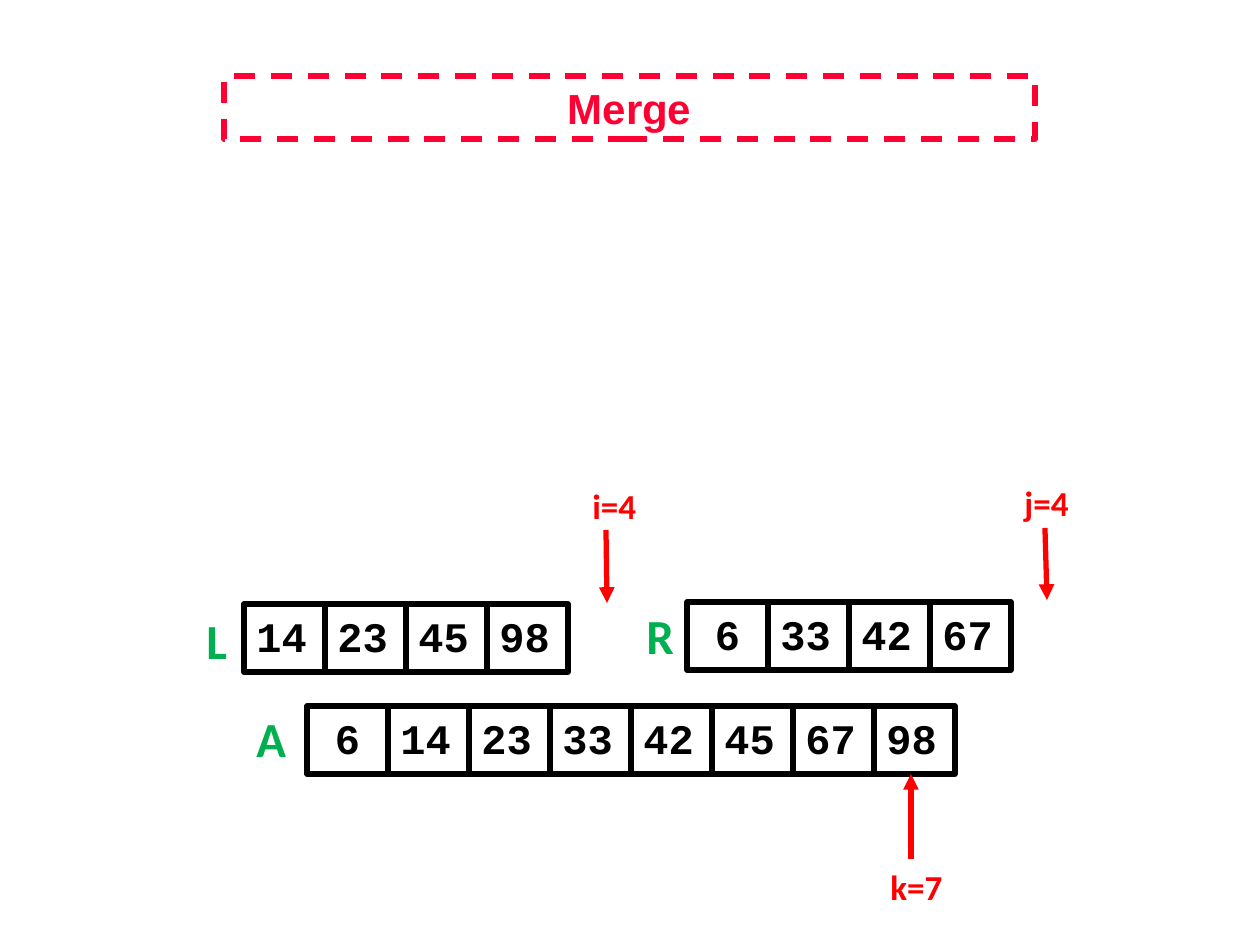
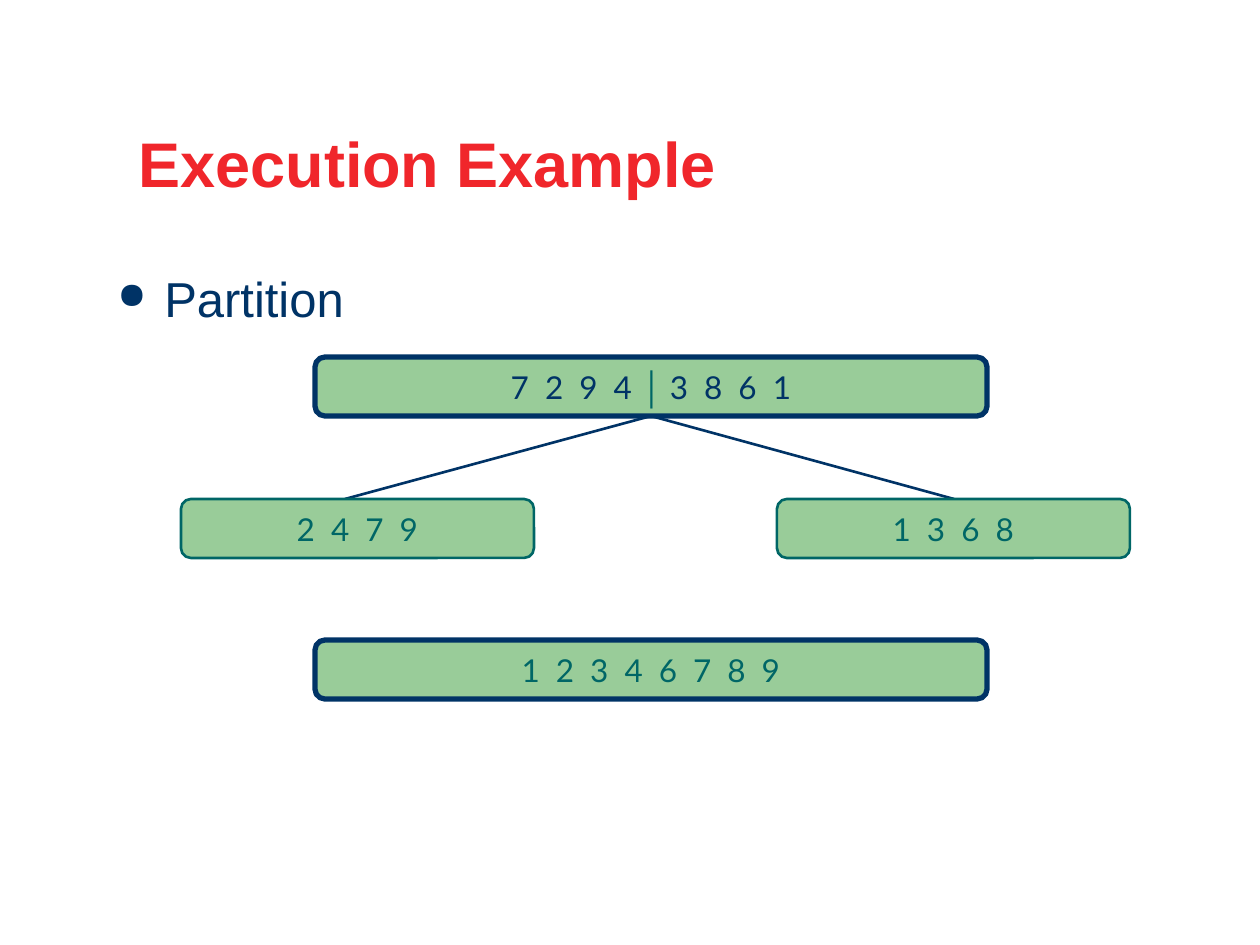
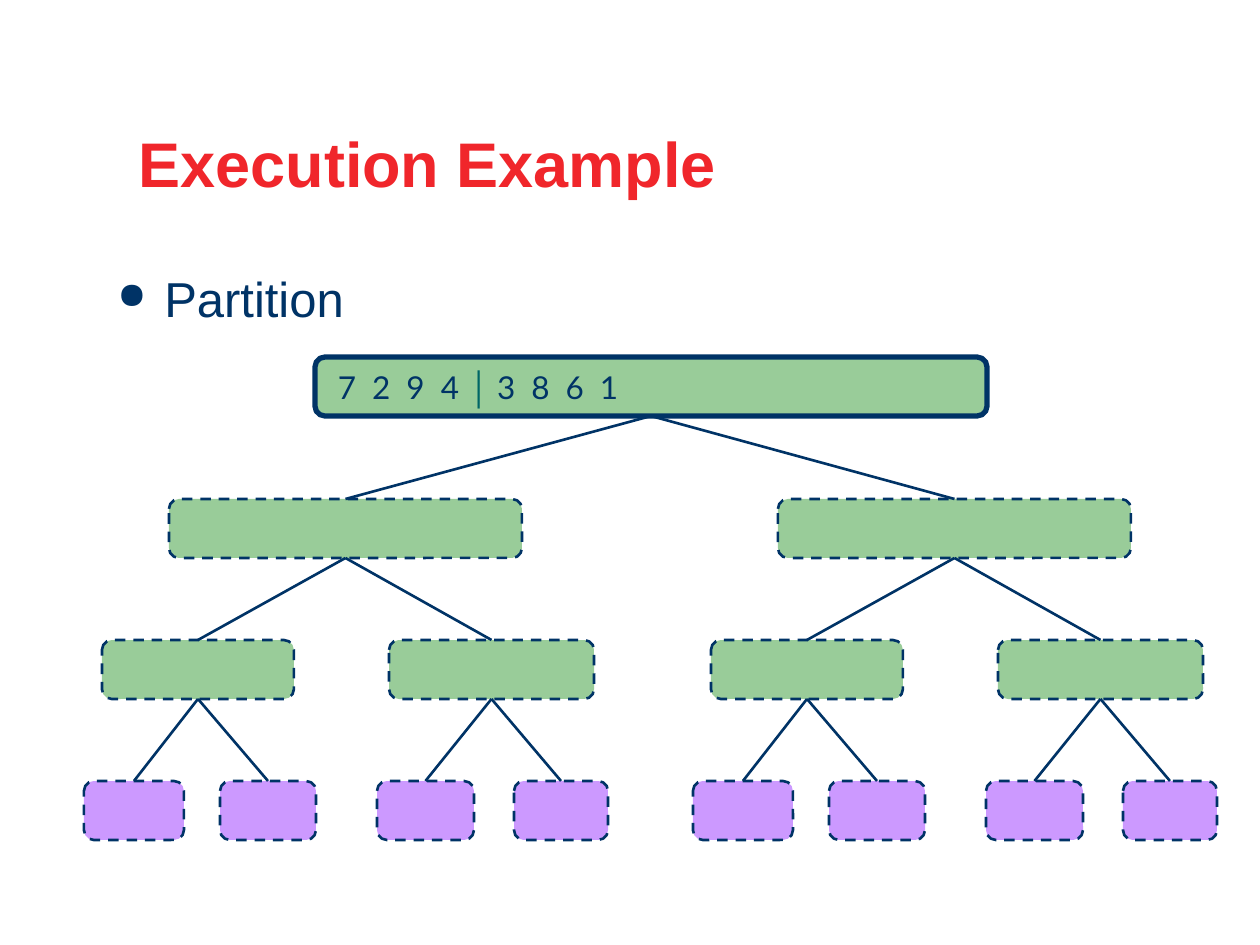
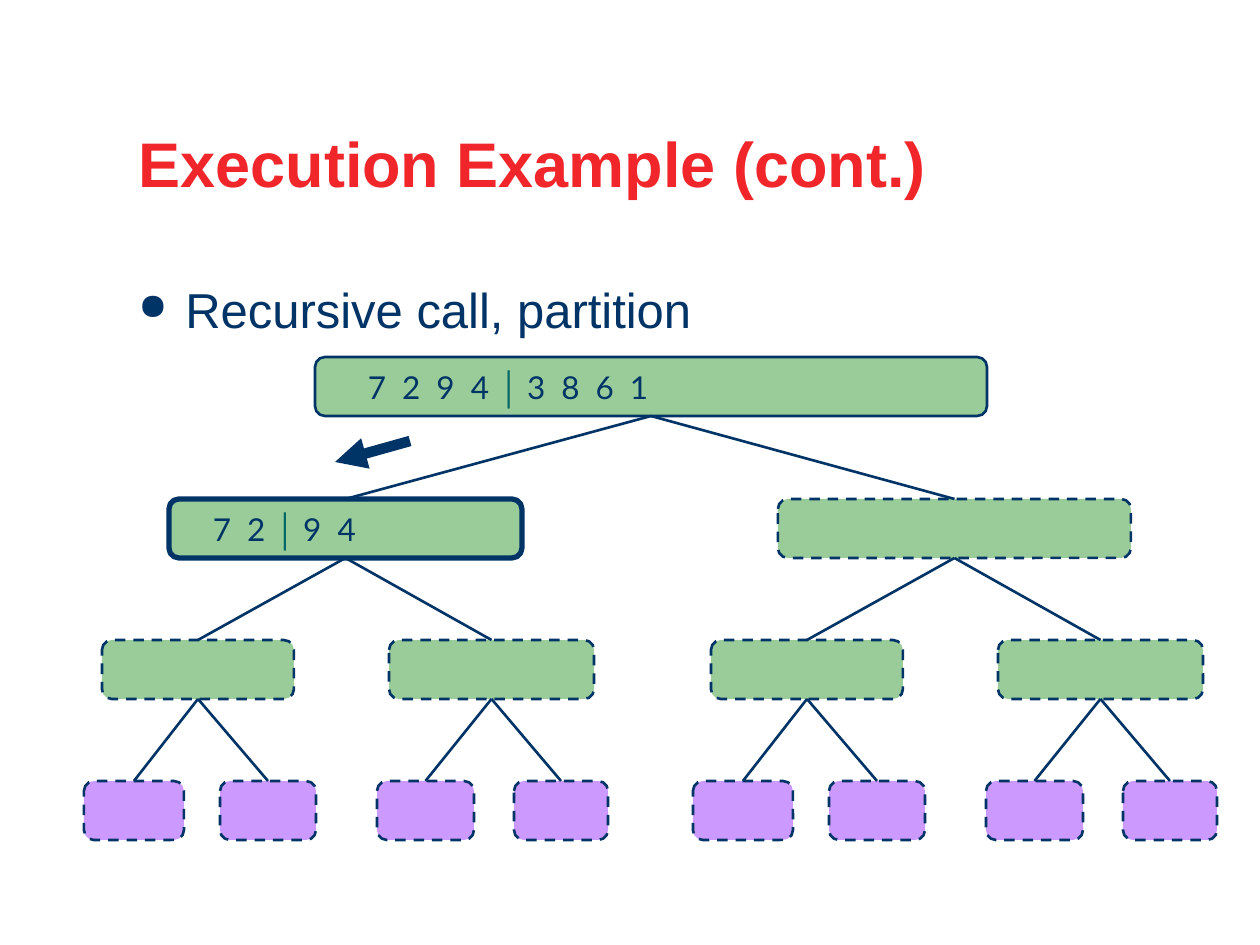
from dataclasses import dataclass

from lxml.etree import SubElement
from pptx import Presentation
from pptx.dml.color import RGBColor as RGB
from pptx.enum.dml import MSO_LINE_DASH_STYLE as Dash
from pptx.enum.shapes import MSO_CONNECTOR as Link, MSO_SHAPE as Shape
from pptx.enum.text import MSO_ANCHOR as Anchor, MSO_AUTO_SIZE as Fit, PP_ALIGN as Align
from pptx.oxml.ns import qn
from pptx.util import Emu, Pt

PX_PER_INCH = 126
SLIDE_SIZE = (1260, 945)
TITLE_ONLY = 5
TOP_SITE, BOTTOM_SITE = 0, 2


@dataclass(frozen=True)
class Theme:
    black: str = "000000"
    merge_red: str = "FF0033"
    pointer_red: str = "FF0000"
    name_green: str = "00B050"
    title_red: str = "F0262B"
    navy: str = "003366"
    teal: str = "006666"
    node_green: str = "99CC99"
    leaf_purple: str = "CC99FF"
    sans: str = "Arial"
    digits: str = "Lato"
    code: str = "Courier New"
    label: str = "Calibri"
    title_size: int = 36
    body_size: int = 28
    name_size: int = 28
    cell_size: int = 24
    pointer_size: int = 20
    node_size: int = 18
    thin: float = 1.5
    thick: float = 3
    call_arrow: float = 6
    digit_gap: float = 2.3
    bar_gap: float = -1


T = Theme()

# Content: the merge step
MERGE_TITLE = ("Merge", (224, 76, 811, 63))
ARRAYS = [  # name, name box, first cell, values
    ("L", (194, 604, 47, 72), (244, 604), [14, 23, 45, 98]),
    ("R", (634, 599, 53, 72), (687, 602), [6, 33, 42, 67]),
    ("A", (244, 702, 55, 72), (307, 706), [6, 14, 23, 33, 42, 45, 67, 98]),
]
CELL_SIZE = (81, 68)
POINTERS = [  # text, text box, arrow start, arrow end
    ("i=4", (580, 478, 69, 55), (606, 530), (607, 603)),
    ("j=4", (1012, 475, 71, 55), (1045, 528), (1047, 600)),
    ("k=7", (878, 859, 78, 55), (911, 859), (911, 774)),
]

# Content: the recursion tree; a bar parts the two halves of a node
WHOLE = ("7 2 9 4", "3 8 6 1")
LEFT_HALF = ("7 2", "9 4")
SORTED_HALVES = ["2 4 7 9", "1 3 6 8"]
SORTED_WHOLE = "1 2 3 4 6 7 8 9"

TITLE_BOX = (126, 126, 1102, 81)
BULLET_SIZE = (1071, 72)
BULLET_INDENT = 47
NODE_HEIGHT = 59
LEVEL_TOPS = [357, 499, 640, 781]
ROOT_SPAN = (315, 672)
SORTED_SPANS = [(181, 353), (777, 353)]
LEFT_SUBTREE = [  # left and width of each node, level by level
    [(169, 353)],
    [(102, 192), (389, 205)],
    [(84, 100), (220, 96), (377, 97), (514, 94)],
]
SUBTREE_SHIFT = 609
CHILD_CENTERS = [345, 954]

TREE_SLIDES = [
    dict(title="Execution Example", bullet="Partition", bullet_at=(105, 262),
         root_inset=20, root_line=T.thick, left_call=False),
    dict(title="Execution Example (cont.)", bullet="Recursive call, partition",
         bullet_at=(126, 273), root_inset=50, root_line=T.thin, left_call=True),
]
LEFT_CALL_INSET = 41
CALL_ARROW = ((410, 441), (335, 462))


# Shared helpers
def px(length):
    return Emu(round(length * 914400 / PX_PER_INCH))


def apply(target, **formats):
    for attribute, value in formats.items():
        setattr(target, attribute, value)


def place(shape, box):
    apply(shape, **dict(zip(("left", "top", "width", "height"), map(px, box))))


def outline(line, color, width, dash=None):
    line.color.rgb = RGB.from_string(color)
    line.width = Pt(width)
    if dash:
        line.dash_style = dash


def write(paragraph, text, font, size, color, bold=False, gap=0):
    run = paragraph.add_run()
    run.text = text
    apply(run.font, name=font, size=Pt(size), bold=bold)
    run.font.color.rgb = RGB.from_string(color)
    if gap:
        run._r.get_or_add_rPr().set("spc", str(round(gap * 100)))


def add_box(slide, kind, box, color, width, fill=None, dash=None):
    shape = slide.shapes.add_shape(kind, *map(px, box))
    shape.shadow.inherit = False
    if fill:
        shape.fill.solid()
        shape.fill.fore_color.rgb = RGB.from_string(fill)
    else:
        shape.fill.background()
    outline(shape.line, color, width, dash)
    shape.text_frame.word_wrap = False
    return shape


def add_line(slide, start, end, color, width, arrow=False):
    line = slide.shapes.add_connector(Link.STRAIGHT, *map(px, (*start, *end)))
    outline(line.line, color, width)
    if arrow:
        SubElement(line.line._get_or_add_ln(), qn("a:tailEnd"), type="triangle")
    SubElement(line._element.spPr, qn("a:effectLst"))
    return line


def add_title(deck, text, box, size, color, **formats):
    slide = deck.slides.add_slide(deck.slide_layouts[TITLE_ONLY])
    title = slide.shapes.title
    place(title, box)
    apply(title.text_frame, word_wrap=True, auto_size=Fit.NONE)
    paragraph = title.text_frame.paragraphs[0]
    apply(paragraph, **formats)
    write(paragraph, text, T.sans, size, color, bold=True)
    return slide


def add_label(slide, text, box, size, color):
    frame = slide.shapes.add_textbox(*map(px, box)).text_frame
    apply(frame, word_wrap=False, auto_size=Fit.SHAPE_TO_FIT_TEXT)
    write(frame.paragraphs[0], text, T.label, size, color, bold=True)


def add_bullet(slide, text, at):
    frame = slide.shapes.add_textbox(*map(px, (*at, *BULLET_SIZE))).text_frame
    frame.word_wrap = True
    paragraph = frame.paragraphs[0]
    paragraph.space_before = Pt(7)
    props = paragraph._p.get_or_add_pPr()
    props.set("marL", str(px(BULLET_INDENT)))
    props.set("indent", str(-px(BULLET_INDENT)))
    SubElement(SubElement(props, qn("a:buClr")), qn("a:srgbClr"), val=T.navy)
    SubElement(props, qn("a:buSzPct"), val="75000")
    SubElement(props, qn("a:buChar"), char="●")
    write(paragraph, text, T.sans, T.body_size, T.navy)


# Tree parts
def add_node(slide, level, span, color=T.navy, width=T.thin, fill=T.node_green, dash=None):
    left, node_width = span
    return add_box(slide, Shape.ROUNDED_RECTANGLE,
                   (left, LEVEL_TOPS[level], node_width, NODE_HEIGHT),
                   color, width, fill, dash)


def write_digits(node, halves, color=T.navy, inset=None):
    frame = node.text_frame
    frame.vertical_anchor = Anchor.MIDDLE
    paragraph = frame.paragraphs[0]
    paragraph.alignment = Align.CENTER
    if inset is not None:
        frame.margin_left = px(inset)
        paragraph.alignment = Align.LEFT
    for index, half in enumerate(halves):
        if index:
            write(paragraph, " │ ", T.sans, T.node_size, T.teal, True, T.bar_gap)
        write(paragraph, half, T.digits, T.node_size, color, gap=T.digit_gap)


def join(slide, parent, child):
    line = add_line(slide, (0, 0), (1, 1), T.navy, T.thin)
    line.begin_connect(parent, BOTTOM_SITE)
    line.end_connect(child, TOP_SITE)


# Slides
def merge_slide(deck):
    text, box = MERGE_TITLE
    slide = add_title(deck, text, box, T.cell_size, T.merge_red, alignment=Align.CENTER)
    slide.shapes.title.text_frame.vertical_anchor = Anchor.TOP
    outline(slide.shapes.title.line, T.merge_red, T.thick, Dash.DASH)

    for name, name_box, (left, top), values in ARRAYS:
        for index, value in enumerate(values):
            cell = add_box(slide, Shape.RECTANGLE,
                           (left + index * CELL_SIZE[0], top, *CELL_SIZE),
                           T.black, T.thick)
            cell.text_frame.vertical_anchor = Anchor.TOP
            paragraph = cell.text_frame.paragraphs[0]
            paragraph.alignment = Align.CENTER if value < 10 else Align.LEFT
            write(paragraph, str(value), T.code, T.cell_size, T.black, bold=True)
        add_label(slide, name, name_box, T.name_size, T.name_green)

    for text, box, start, end in POINTERS:
        add_line(slide, start, end, T.pointer_red, T.thick, arrow=True)
        add_label(slide, text, box, T.pointer_size, T.pointer_red)


def execution_slide(deck, title, bullet, bullet_at):
    slide = add_title(deck, title, TITLE_BOX, T.title_size, T.title_red,
                      alignment=Align.LEFT, line_spacing=0.9)
    slide.shapes.title.text_frame.vertical_anchor = Anchor.BOTTOM
    add_bullet(slide, bullet, bullet_at)
    return slide


def overview_slide(deck):
    first = TREE_SLIDES[0]
    slide = execution_slide(deck, first["title"], first["bullet"], first["bullet_at"])
    root = add_node(slide, 0, ROOT_SPAN, width=T.thick)
    write_digits(root, WHOLE)
    root_foot = (ROOT_SPAN[0] + ROOT_SPAN[1] / 2, LEVEL_TOPS[0] + NODE_HEIGHT)
    for center in CHILD_CENTERS:
        branch = add_line(slide, root_foot, (center, LEVEL_TOPS[1]), T.navy, T.thin)
        branch.begin_connect(root, BOTTOM_SITE)
    for span, digits in zip(SORTED_SPANS, SORTED_HALVES):
        write_digits(add_node(slide, 1, span, T.teal), [digits], T.teal)
    result = add_node(slide, 2, ROOT_SPAN, width=T.thick)
    write_digits(result, [SORTED_WHOLE], T.teal)


def tree_slide(deck, title, bullet, bullet_at, root_inset, root_line, left_call):
    slide = execution_slide(deck, title, bullet, bullet_at)
    root = add_node(slide, 0, ROOT_SPAN, width=root_line)
    write_digits(root, WHOLE, inset=root_inset)

    parents = [root]
    for level, left_spans in enumerate(LEFT_SUBTREE, start=1):
        spans = left_spans + [(left + SUBTREE_SHIFT, width) for left, width in left_spans]
        fill = T.leaf_purple if level == len(LEFT_SUBTREE) else T.node_green
        nodes = []
        for index, span in enumerate(spans):
            called = left_call and level == 1 and index == 0
            style = dict(width=T.thick) if called else dict(dash=Dash.DASH)
            node = add_node(slide, level, span, fill=fill, **style)
            if called:
                write_digits(node, LEFT_HALF, inset=LEFT_CALL_INSET)
            join(slide, parents[index // 2], node)
            nodes.append(node)
        parents = nodes

    if left_call:
        add_line(slide, *CALL_ARROW, T.navy, T.call_arrow, arrow=True)


def main():
    deck = Presentation()
    deck.slide_width, deck.slide_height = map(px, SLIDE_SIZE)
    merge_slide(deck)
    overview_slide(deck)
    for content in TREE_SLIDES:
        tree_slide(deck, **content)
    deck.save("out.pptx")


if __name__ == "__main__":
    main()
